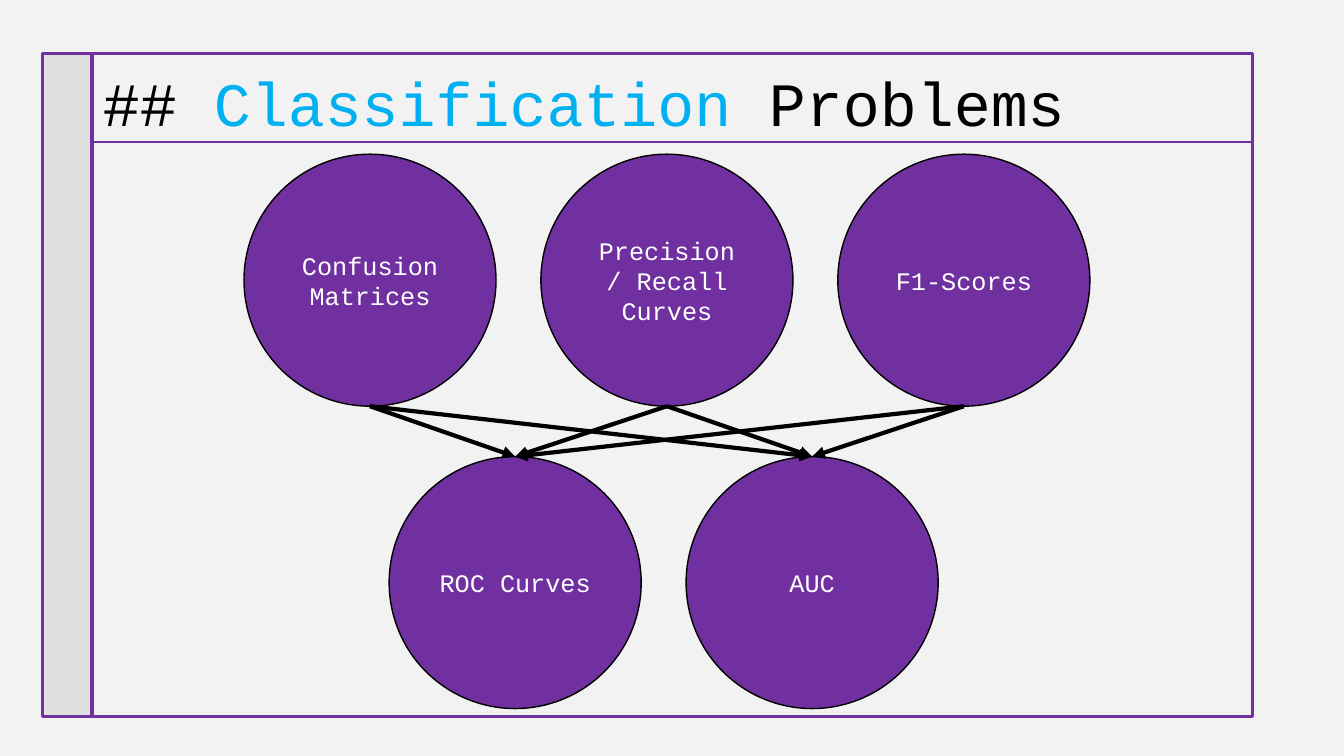
from lxml import etree
from pptx import Presentation
from pptx.dml.color import RGBColor
from pptx.enum.shapes import MSO_CONNECTOR, MSO_SHAPE
from pptx.enum.text import MSO_ANCHOR, MSO_AUTO_SIZE, PP_ALIGN
from pptx.oxml.ns import qn
from pptx.util import Inches, Pt

RECTANGLE, ELLIPSE = MSO_SHAPE.RECTANGLE, MSO_SHAPE.OVAL
STRAIGHT = MSO_CONNECTOR.STRAIGHT
MIDDLE, LEFT, CENTER = MSO_ANCHOR.MIDDLE, PP_ALIGN.LEFT, PP_ALIGN.CENTER
NO_AUTOFIT = MSO_AUTO_SIZE.NONE

FONT = "Courier New"
COLORS = {
    "background": "F2F2F2",
    "purple": "7030A0",
    "band": "E0E0E0",
    "highlight": "00B0F0",
    "black": "000000",
    "white": "FFFFFF",
}
DIAMETER = 2.5
PITCH = 2.945
ELLIPSE_BOTTOM_SITE = "4"  # an ellipse has eight connection sites


def color(name):
    return RGBColor.from_string(COLORS[name])


def style_span(span, size, color_name):
    span.font.name = FONT
    span.font.size = Pt(size)
    span.font.color.rgb = color(color_name)


def style_line(line, color_name, width):
    line.color.rgb = color(color_name)
    line.width = Pt(width)


def add_title(page, parts):
    title = page.shapes.title
    title.left, title.top = Inches(0.92), Inches(0.33)
    title.width, title.height = Inches(11.5), Inches(1.45)
    frame = title.text_frame
    frame.word_wrap = True
    frame.auto_size = NO_AUTOFIT
    frame.vertical_anchor = MIDDLE
    para = frame.paragraphs[0]
    para.alignment = LEFT
    para.line_spacing = 0.9
    for text, color_name in parts:
        span = para.add_run()
        span.text = text
        style_span(span, 44, color_name)


def add_box(page, kind, place, fill, line_color, line_width):
    box = page.shapes.add_shape(kind, *map(Inches, place))
    box.shadow.inherit = False
    if fill:
        box.fill.solid()
        box.fill.fore_color.rgb = color(fill)
    else:
        box.fill.background()
    style_line(box.line, line_color, line_width)
    return box


def add_circle(page, left, top, text):
    circle = add_box(page, ELLIPSE, (left, top, DIAMETER, DIAMETER),
                     "purple", "black", 1)
    frame = circle.text_frame
    frame.word_wrap = True
    frame.vertical_anchor = MIDDLE
    frame.text = text
    para = frame.paragraphs[0]
    para.alignment = CENTER
    style_span(para.runs[0], 18, "white")
    return circle


def add_circle_row(page, left, top, labels):
    return [add_circle(page, left + index * PITCH, top, label)
            for index, label in enumerate(labels)]


def add_line(page, start, end, color_name, width):
    line = page.shapes.add_connector(
        STRAIGHT, *map(Inches, start + end))
    style_line(line.line, color_name, width)
    etree.SubElement(line.element.spPr, qn("a:effectLst"))
    return line


def add_arrow(page, source, target):
    arrow = add_line(page, (0, 0), (1, 1), "black", 3)
    arrow.begin_connect(source, 2)
    arrow.end_connect(target, 0)
    start = arrow.element.find(".//" + qn("a:stCxn"))
    start.set("idx", ELLIPSE_BOTTOM_SITE)
    outline = arrow.element.spPr.find(qn("a:ln"))
    etree.SubElement(outline, qn("a:tailEnd"), type="triangle")


def main():
    deck = Presentation()
    deck.slide_width, deck.slide_height = Inches(13.33), Inches(7.5)
    page = deck.slides.add_slide(deck.slide_layouts[5])
    page.background.fill.solid()
    page.background.fill.fore_color.rgb = color("background")

    # Title and frame
    add_title(page, [("## ", "black"), ("Classification", "highlight"),
                     (" Problems", "black")])
    add_box(page, RECTANGLE, (0.92, 0.53, 11.5, 6.58), None, "purple", 2.25)
    add_box(page, RECTANGLE, (0.42, 0.53, 0.49, 6.58), "band", "purple", 2.25)
    add_line(page, (0.92, 1.41), (12.42, 1.41), "purple", 1.5)

    # Two rows of circles
    sources = add_circle_row(page, 2.42, 1.53, [
        "Confusion Matrices", "Precision / Recall Curves", "F1-Scores"])
    targets = add_circle_row(page, 3.86, 4.53, ["ROC Curves", "AUC"])

    # Every upper circle points to every lower one
    for target in targets:
        for source in sources:
            add_arrow(page, source, target)

    deck.save("out.pptx")


if __name__ == "__main__":
    main()
